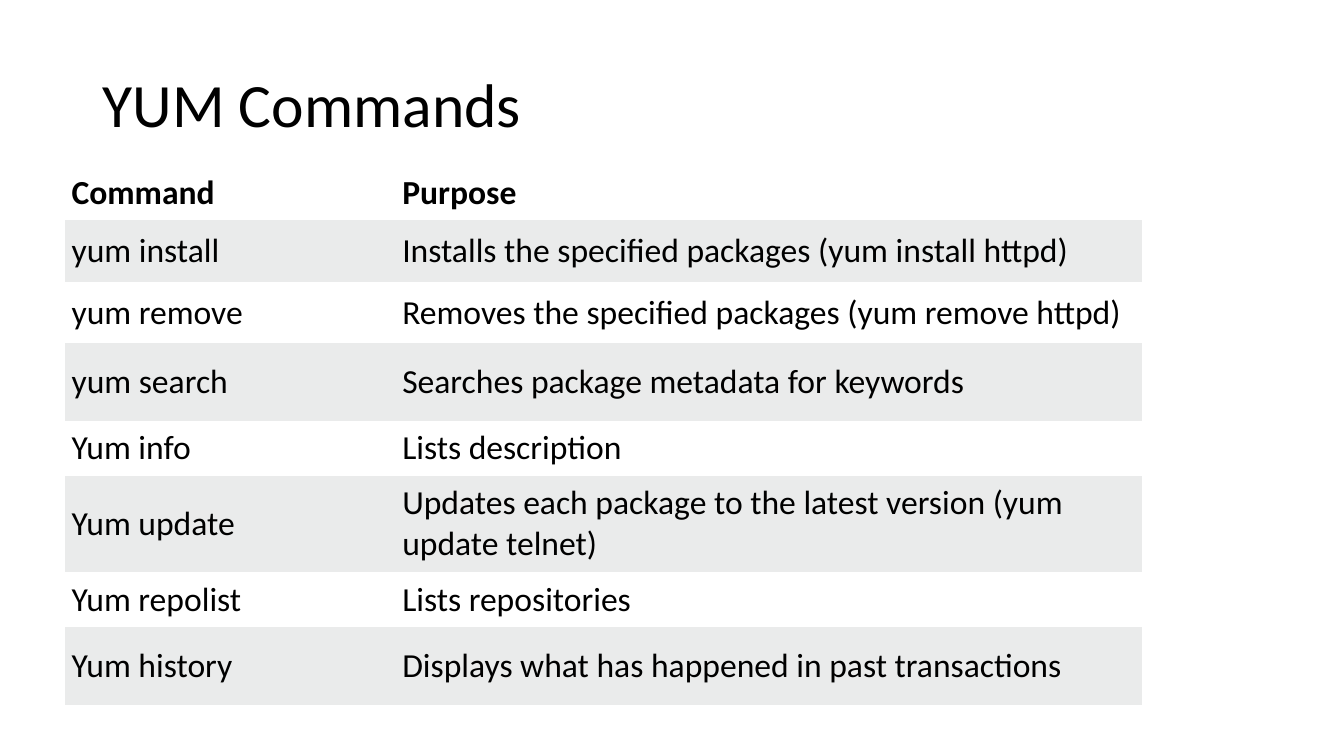
from pptx import Presentation
from pptx.dml.color import RGBColor
from pptx.enum.text import MSO_ANCHOR, PP_ALIGN
from pptx.oxml.ns import qn
from pptx.util import Inches, Pt

FONT = "Calibri"
COLORS = {"text": "000000", "plain": "FFFFFF", "band": "EAEBEB"}
NO_GRID_STYLE = "{2D5ABB26-0587-4C30-8999-92F81FD0307C}"

COLUMN_WIDTHS = [3.28, 7.41]
# Row height, command, purpose
COMMANDS = [
    (0.4, "Command", "Purpose"),
    (0.61, "yum install", "Installs the specified packages (yum install httpd)"),
    (0.61, "yum remove", "Removes the specified packages (yum remove httpd)"),
    (0.77, "yum search", "Searches package metadata for keywords"),
    (0.46, "Yum info", "Lists description"),
    (0.77, "Yum update",
     "Updates each package to the latest version (yum update telnet)"),
    (0.46, "Yum repolist", "Lists repositories"),
    (0.77, "Yum history", "Displays what has happened in past transactions"),
]


def format_paragraph(paragraph, size, bold=False):
    paragraph.alignment = PP_ALIGN.LEFT
    paragraph.font.name = FONT
    paragraph.font.size = Pt(size)
    paragraph.font.bold = bold
    paragraph.font.color.rgb = RGBColor.from_string(COLORS["text"])


def set_title(slide, text):
    title = slide.shapes.title
    title.left, title.top = Inches(0.92), Inches(0.34)
    title.width, title.height = Inches(11.5), Inches(1.45)
    title.text_frame.text = text
    title.text_frame.vertical_anchor = MSO_ANCHOR.MIDDLE
    paragraph = title.text_frame.paragraphs[0]
    format_paragraph(paragraph, 44)
    paragraph.line_spacing = 0.9


def fill_cell(cell, text, color, bold):
    cell.text = text
    cell.vertical_anchor = MSO_ANCHOR.MIDDLE
    cell.margin_left = cell.margin_right = Inches(0.07)
    cell.margin_top = cell.margin_bottom = Inches(0.07)
    cell.fill.solid()
    cell.fill.fore_color.rgb = RGBColor.from_string(color)
    format_paragraph(cell.text_frame.paragraphs[0], 24, bold)


def add_command_table(slide):
    table_height = sum(height for height, *_ in COMMANDS)
    frame = slide.shapes.add_table(
        len(COMMANDS), len(COLUMN_WIDTHS), Inches(0.64), Inches(1.64),
        Inches(sum(COLUMN_WIDTHS)), Inches(table_height))
    table = frame.table
    table.horz_banding = False
    # A style without borders
    table._tbl.tblPr.find(qn("a:tableStyleId")).text = NO_GRID_STYLE

    for column, width in zip(table.columns, COLUMN_WIDTHS):
        column.width = Inches(width)
    for index, (height, *texts) in enumerate(COMMANDS):
        table.rows[index].height = Inches(height)
        color = COLORS["band" if index % 2 else "plain"]
        for cell, text in zip(table.rows[index].cells, texts):
            fill_cell(cell, text, color, bold=index == 0)


def main():
    presentation = Presentation()
    presentation.slide_width = Inches(13.33)
    presentation.slide_height = Inches(7.5)
    slide = presentation.slides.add_slide(presentation.slide_layouts[5])
    set_title(slide, "YUM Commands")
    add_command_table(slide)
    presentation.save("out.pptx")


if __name__ == "__main__":
    main()
